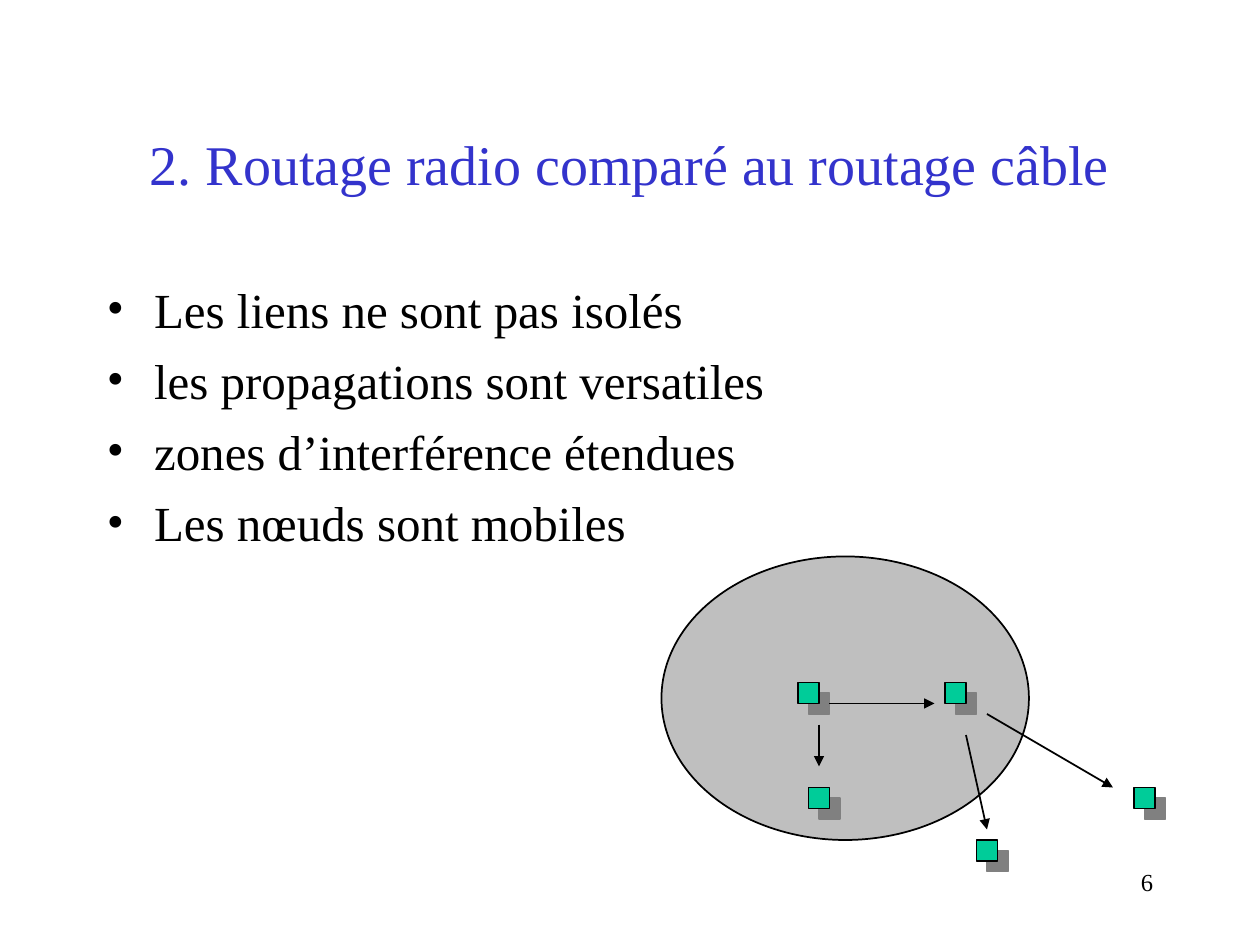
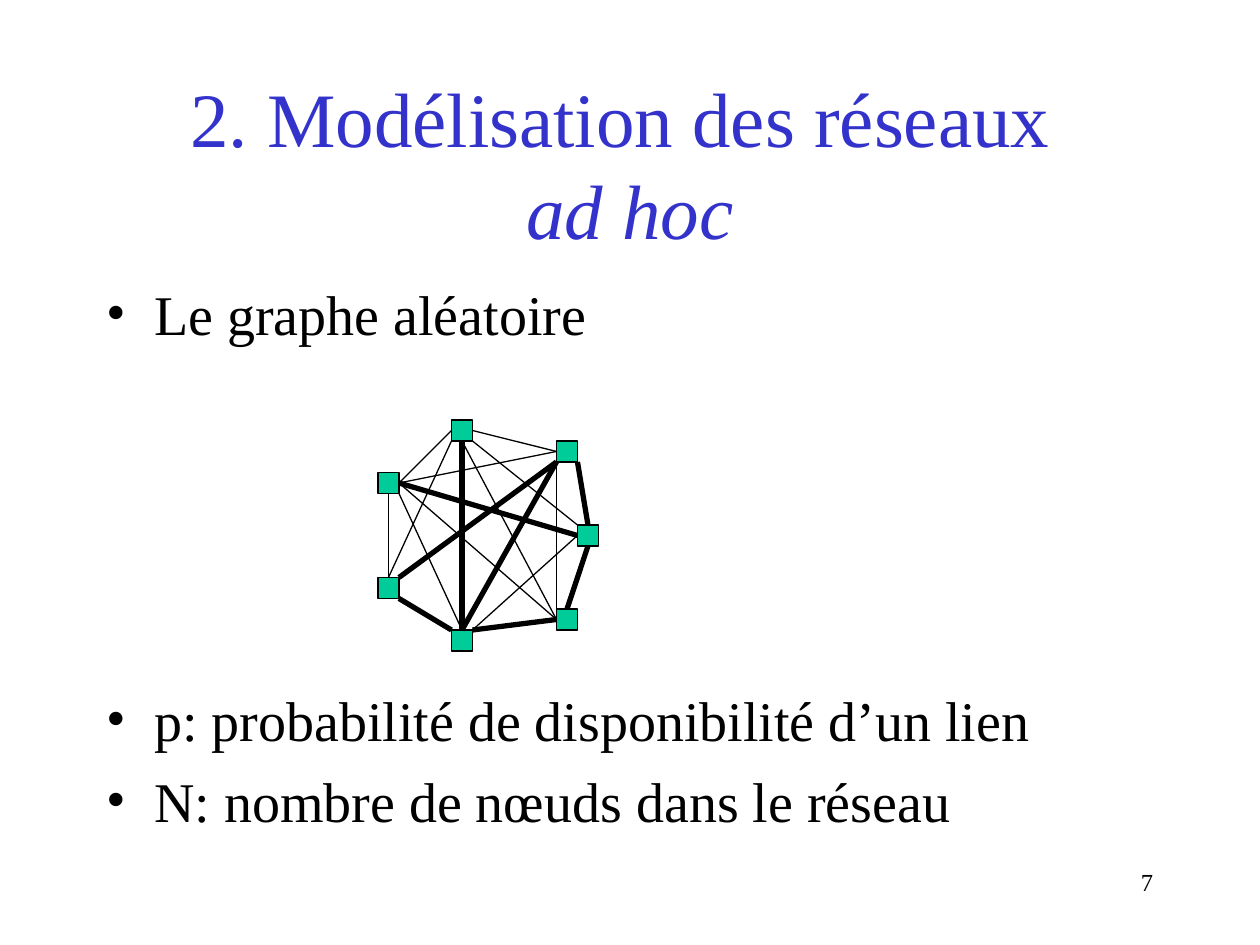
from lxml import etree
from pptx import Presentation
from pptx.dml.color import RGBColor
from pptx.enum import shapes, text
from pptx.oxml import ns
from pptx.util import Pt

COLORS = {
    "title": "3333CC",
    "ink": "000000",
    "node": "00CC99",
    "gray": "808080",
}
FONT = "Times New Roman"
LINE_FACTOR = 1.2
NODE_SIZE = 12
MARGIN = 54
CONTENT_WIDTH = 612

RADIO = {
    "number": "6",
    "title_size": 32,
    "title": [[("2. Routage radio comparé au routage câble", False)]],
    "bullet_size": 28,
    "bullet_gap": 7,
    "bullets": [
        ("Les liens ne sont pas isolés", 0),
        ("les propagations sont versatiles", 0),
        ("zones d’interférence étendues", 0),
        ("Les nœuds sont mobiles", 0),
    ],
}
RADIO_ZONE = (378, 318, 210, 162)
RADIO_NODES = [(456, 390), (462, 450), (540, 390), (648, 450), (558, 480)]
RADIO_ARROWS = [
    ((474, 402), (534, 402)),
    ((564, 408), (636, 450)),
    ((552, 420), (564, 474)),
    ((468, 414), (468, 438)),
]

GRAPH = {
    "number": "7",
    "title_size": 44,
    "title": [[("2. Modélisation des réseaux ", False)], [("ad hoc", True)]],
    "bullet_size": 32,
    "bullet_gap": 8,
    "bullets": [
        ("Le graphe aléatoire", 0),
        ("p: probabilité de disponibilité d’un lien", 4),
        ("N: nombre de nœuds dans le réseau", 0),
    ],
}
GRAPH_NODES = {
    "upper left": (216, 270),
    "lower left": (216, 330),
    "top": (258, 240),
    "upper right": (318, 252),
    "right": (330, 300),
    "lower right": (318, 348),
    "bottom": (258, 360),
}
POSSIBLE_LINKS = [
    ("upper left", "br", "bottom", "t"),
    ("upper left", "r", "top", "l"),
    ("top", "r", "upper right", "l"),
    ("top", "br", "right", "tl"),
    ("upper right", "bl", "lower right", "tl"),
    ("upper left", "r", "lower right", "l"),
    ("upper left", "b", "lower left", "t"),
    ("upper left", "r", "upper right", "l"),
    ("top", "b", "lower right", "l"),
    ("right", "l", "bottom", "tr"),
    ("top", "bl", "lower left", "t"),
]
AVAILABLE_LINKS = [
    ("bottom", "tr", "lower right", "l"),
    ("upper left", "r", "right", "l"),
    ("upper right", "bl", "bottom", "t"),
    ("lower left", "br", "bottom", "tl"),
    ("upper right", "bl", "lower left", "tr"),
    ("upper right", "br", "right", "t"),
    ("right", "b", "lower right", "t"),
    ("top", "b", "bottom", "t"),
]
SIDES = {"t": 0, "l": 1, "b": 2, "r": 3}


def color(name):
    return RGBColor.from_string(COLORS[name])


def add_element(parent, tag, **attributes):
    return etree.SubElement(parent, ns.qn(tag), attributes)


def place(shape, left, top, width, height):
    shape.left, shape.top, shape.width, shape.height = map(Pt, (left, top, width, height))


def add_run(paragraph, content, size, color_name, italic=False):
    run = paragraph.add_run()
    run.text = content
    run.font.name = FONT
    run.font.size = Pt(size)
    run.font.italic = italic
    run.font.color.rgb = color(color_name)


def add_text_box(slide, left, top, width, height):
    frame = slide.shapes.add_textbox(Pt(left), Pt(top), Pt(width), Pt(height)).text_frame
    frame.word_wrap = True
    return frame


def add_title(slide, lines, size):
    title = slide.shapes.title
    place(title, MARGIN, 48, CONTENT_WIDTH, 90)
    frame = title.text_frame
    frame.auto_size = text.MSO_AUTO_SIZE.NONE
    frame.vertical_anchor = text.MSO_ANCHOR.MIDDLE
    paragraph = frame.paragraphs[0]
    paragraph.alignment = text.PP_ALIGN.CENTER
    paragraph.line_spacing = Pt(size * LINE_FACTOR)
    for index, line in enumerate(lines):
        if index:
            paragraph.add_line_break()
        for content, italic in line:
            add_run(paragraph, content, size, "title", italic)


def add_bullets(slide, bullets, size, gap):
    frame = add_text_box(slide, MARGIN, 156, CONTENT_WIDTH, 324)
    line_height = size * LINE_FACTOR
    for index, (content, skipped_rows) in enumerate(bullets):
        paragraph = frame.add_paragraph() if index else frame.paragraphs[0]
        paragraph.line_spacing = Pt(line_height)
        paragraph.space_before = Pt(gap + skipped_rows * (line_height + gap))
        add_run(paragraph, content, size, "ink")
        properties = paragraph._p.get_or_add_pPr()
        properties.set("marL", str(Pt(27)))
        properties.set("indent", str(-Pt(27)))
        add_element(properties, "a:buFont", typeface=FONT)
        add_element(properties, "a:buChar", char="•")


def add_slide(presentation, content):
    slide = presentation.slides.add_slide(presentation.slide_layouts[5])
    add_title(slide, content["title"], content["title_size"])
    add_bullets(slide, content["bullets"], content["bullet_size"], content["bullet_gap"])
    paragraph = add_text_box(slide, 516, 492, 150, 36).paragraphs[0]
    paragraph.alignment = text.PP_ALIGN.RIGHT
    add_run(paragraph, content["number"], 14, "ink")
    return slide


def add_outlined(slide, kind, box, fill, line_width):
    shape = slide.shapes.add_shape(kind, *map(Pt, box))
    shape.shadow.inherit = False
    shape.fill.solid()
    shape.fill.fore_color.rgb = color(fill)
    shape.line.color.rgb = color("ink")
    shape.line.width = Pt(line_width)
    return shape


def add_node(slide, position, line_width):
    box = (*position, NODE_SIZE, NODE_SIZE)
    return add_outlined(slide, shapes.MSO_SHAPE.RECTANGLE, box, "node", line_width)


def add_zone(slide, box):
    zone = add_outlined(slide, shapes.MSO_SHAPE.OVAL, box, "gray", 1)
    fill_color = zone.element.spPr.find(ns.qn("a:solidFill"))[0]
    add_element(fill_color, "a:alpha", val="50000")


def add_hard_shadow(shape):
    effects = shape.element.spPr.find(ns.qn("a:effectLst"))
    shadow = add_element(effects, "a:outerShdw", blurRad="0", dist=str(Pt(8.5)),
                         dir="2700000", algn="ctr", rotWithShape="0")
    add_element(shadow, "a:srgbClr", val=COLORS["gray"])


def add_line(slide, start, end, width):
    line = slide.shapes.add_connector(shapes.MSO_CONNECTOR.STRAIGHT, *map(Pt, (*start, *end)))
    line.line.color.rgb = color("ink")
    line.line.width = Pt(width)
    add_element(line.element.spPr, "a:effectLst")
    return line


def add_arrow(slide, start, end):
    arrow = add_line(slide, start, end, 1)
    add_element(arrow.line._get_or_add_ln(), "a:tailEnd", type="triangle")


def anchor_point(position, anchor):
    half = NODE_SIZE / 2
    left, top = position
    return (left + half * (1 + ("r" in anchor) - ("l" in anchor)),
            top + half * (1 + ("b" in anchor) - ("t" in anchor)))


def add_link(slide, nodes, link, width):
    first, first_anchor, second, second_anchor = link
    line = add_line(slide, anchor_point(GRAPH_NODES[first], first_anchor),
                    anchor_point(GRAPH_NODES[second], second_anchor), width)
    if first_anchor in SIDES:
        line.begin_connect(nodes[first], SIDES[first_anchor])
    if second_anchor in SIDES:
        line.end_connect(nodes[second], SIDES[second_anchor])


def build_radio_slide(presentation):
    slide = add_slide(presentation, RADIO)
    add_zone(slide, RADIO_ZONE)
    for position in RADIO_NODES:
        add_hard_shadow(add_node(slide, position, 1))
    for start, end in RADIO_ARROWS:
        add_arrow(slide, start, end)


def build_graph_slide(presentation):
    slide = add_slide(presentation, GRAPH)
    nodes = {name: add_node(slide, position, 0.75) for name, position in GRAPH_NODES.items()}
    for links, width in ((POSSIBLE_LINKS, 0.75), (AVAILABLE_LINKS, 3)):
        for link in links:
            add_link(slide, nodes, link, width)


def main():
    presentation = Presentation()
    presentation.slide_width, presentation.slide_height = Pt(720), Pt(540)
    build_radio_slide(presentation)
    build_graph_slide(presentation)
    presentation.save("out.pptx")


if __name__ == "__main__":
    main()
